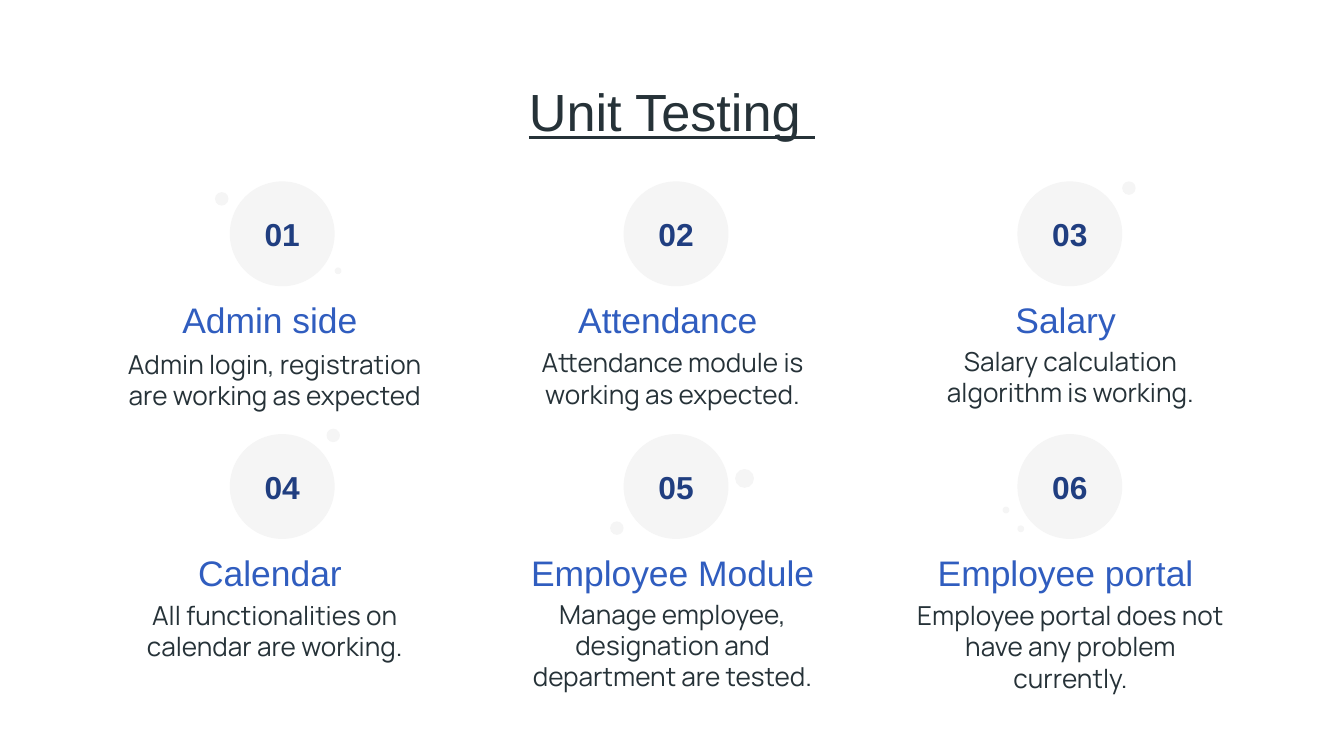
from pptx import Presentation
from pptx.dml.color import RGBColor
from pptx.enum.shapes import MSO_SHAPE as Shape
from pptx.enum.text import MSO_ANCHOR as Anchor, PP_ALIGN as Align
from pptx.util import Inches, Pt

COLORS = {"ink": "263238", "heading": "305DBF", "number": "203E80", "bubble": "F5F5F5"}
SLIDE_WIDTH = Inches(10)
SLIDE_HEIGHT = SLIDE_WIDTH * 9 // 16
COLUMN_LEFT, COLUMN_STEP, COLUMN_WIDTH = 0.72, 2.96, 2.65
CIRCLE_LEFT, CIRCLE_STEP, CIRCLE_SIZE = 1.71, 2.93, 0.78
ROW_TOP, ROW_STEP = 1.35, 1.88
HEADING_DROP, HEADING_HEIGHT = 0.77, 0.46

MODULES = [
    ("Admin side ", "Admin login, registration are working as expected", 2.49),
    ("Attendance ", "Attendance module is working as expected.", 2.48),
    ("Salary ", "Salary calculation algorithm is working.", 2.47),
    ("Calendar ", "All functionalities on calendar are working.", 4.36),
    ("Employee Module", "Manage employee, designation and department are tested.", 4.35),
    ("Employee portal ", "Employee portal does not have any problem currently.", 4.36),
]
DOTS = [
    (8.35, 1.35, 0.1), (5.47, 3.49, 0.14), (1.6, 1.43, 0.1), (4.54, 3.88, 0.1),
    (2.43, 3.19, 0.1), (2.49, 1.99, 0.05), (7.57, 3.91, 0.05), (7.46, 3.77, 0.05),
]


def write(shape, text, size, color, font="Arial", bold=False, underline=False,
          anchor=Anchor.TOP):
    """Put centred, formatted text into a shape."""
    frame = shape.text_frame
    frame.word_wrap = True
    frame.vertical_anchor = anchor
    frame.margin_left = frame.margin_right = Inches(0.1)
    frame.margin_top = frame.margin_bottom = Inches(0.1)
    paragraph = frame.paragraphs[0]
    paragraph.alignment = Align.CENTER
    run = paragraph.add_run()
    run.text = text
    run.font.name, run.font.size = font, Pt(size)
    run.font.bold, run.font.underline = bold, underline
    run.font.color.rgb = RGBColor.from_string(COLORS[color])


def add_bubble(slide, left, top, size):
    """Draw a plain pale circle."""
    bubble = slide.shapes.add_shape(
        Shape.OVAL, Inches(left), Inches(top), Inches(size), Inches(size))
    bubble.shadow.inherit = False
    bubble.fill.solid()
    bubble.fill.fore_color.rgb = RGBColor.from_string(COLORS["bubble"])
    bubble.line.fill.background()
    return bubble


def add_text(slide, left, top, width, height, text, **style):
    """Add a formatted text box."""
    box = slide.shapes.add_textbox(
        Inches(left), Inches(top), Inches(width), Inches(height))
    write(box, text, **style)


def add_title(slide, text):
    """Place and format the title placeholder."""
    title = slide.shapes.title
    title.left, title.top = Inches(0.75), Inches(0.49)
    title.width, title.height = Inches(8.5), Inches(0.63)
    write(title, text, size=28, color="ink", underline=True)


def add_module(slide, index, heading, result, result_top):
    """Add one numbered module to the three-column grid."""
    row, column = divmod(index, 3)
    top = ROW_TOP + row * ROW_STEP
    left = COLUMN_LEFT + column * COLUMN_STEP
    bubble = add_bubble(slide, CIRCLE_LEFT + column * CIRCLE_STEP, top, CIRCLE_SIZE)
    write(bubble, f"{index + 1:02}", size=17, color="number", bold=True, anchor=Anchor.MIDDLE)
    add_text(slide, left, top + HEADING_DROP, COLUMN_WIDTH, HEADING_HEIGHT,
             heading, size=19, color="heading")
    add_text(slide, left, result_top, COLUMN_WIDTH, 0.55 - 0.02 * row,
             result, size=14, color="ink", font="Manrope")


def main():
    """Build the unit testing slide."""
    deck = Presentation()
    deck.slide_width, deck.slide_height = SLIDE_WIDTH, SLIDE_HEIGHT
    slide = deck.slides.add_slide(deck.slide_layouts[5])
    add_title(slide, "Unit Testing ")
    for index, module in enumerate(MODULES):
        add_module(slide, index, *module)
    for dot in DOTS:
        add_bubble(slide, *dot)
    deck.save("out.pptx")


if __name__ == "__main__":
    main()
